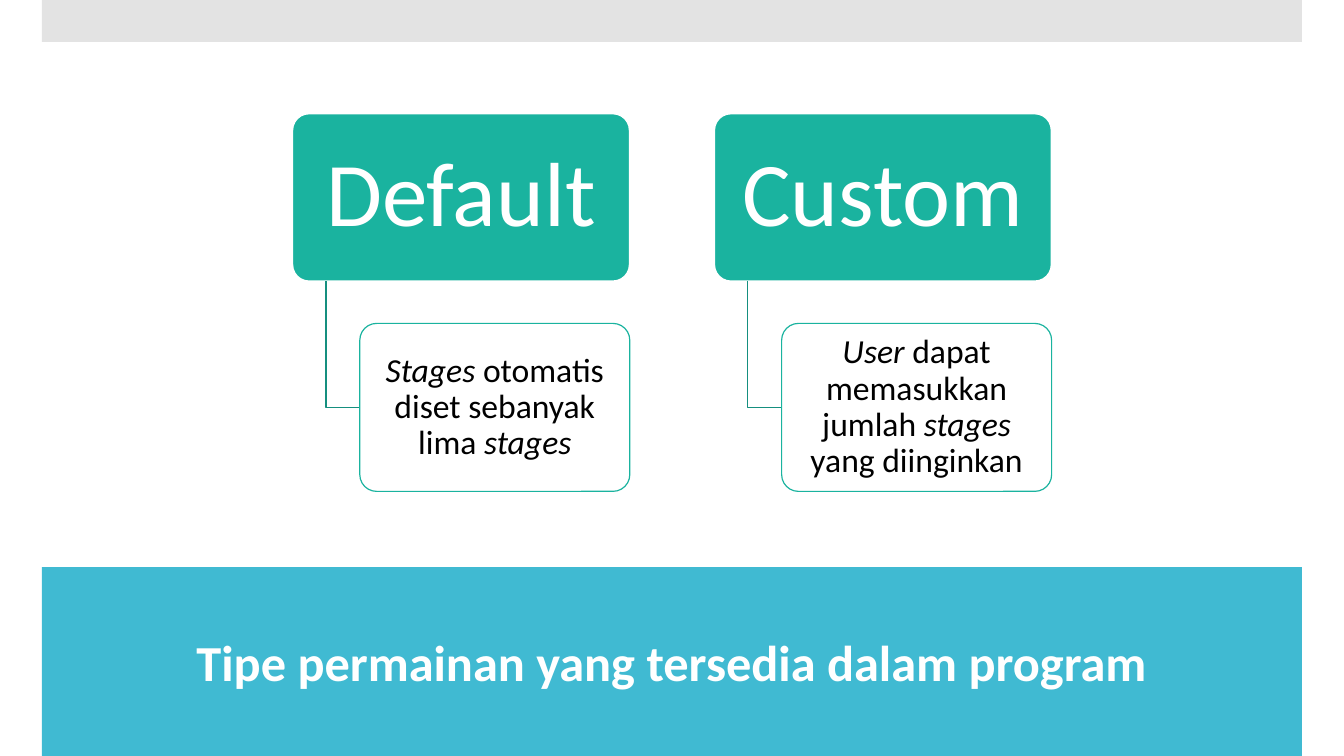
"""Build a slide that compares the two game types as a small hierarchy."""
from dataclasses import dataclass

from lxml import etree
from pptx import Presentation
from pptx import util as u
from pptx.dml.color import RGBColor
from pptx.enum import shapes, text
from pptx.oxml.ns import qn


@dataclass(frozen=True)
class Theme:
    """Colours, type sizes and line widths of the slide."""
    font: str = "Calibri"
    white: str = "FFFFFF"
    black: str = "000000"
    blue: str = "40BAD2"
    grey: str = "C8C8C8"
    green: str = "1AB39F"
    dark_green: str = "158F7F"
    head_size: float = 65
    detail_size: float = 24
    title_size: float = 36
    head_line: float = 1.35
    thin_line: float = 0.85


@dataclass(frozen=True)
class Box:
    """A rectangle in EMU that hands out inner boxes by share of its size."""
    left: float
    top: float
    width: float
    height: float

    def inner(self, left, top, width, height):
        """Return the inner box given by shares of this box."""
        return Box(self.left + left * self.width, self.top + top * self.height,
                   width * self.width, height * self.height)

    def place(self):
        """Return the position and size as whole EMU."""
        return [u.Emu(round(v)) for v in (self.left, self.top, self.width, self.height)]


THEME = Theme()
BRANCHES = [
    ("Default", [("Stages ", True), ("otomatis diset sebanyak lima ", False),
                 ("stages", True)]),
    ("Custom", [("User ", True), ("dapat memasukkan jumlah ", False),
                ("stages ", True), ("yang diinginkan", False)]),
]


def colour(value):
    """Turn a hex value into a colour."""
    return RGBColor.from_string(value)


def style_font(paragraph, size, value, bold=False):
    """Set the common font of a paragraph."""
    font = paragraph.font
    font.name, font.size, font.bold = THEME.font, u.Pt(size), bold
    font.color.rgb = colour(value)


def add_panel(slide, box, fill, opacity=100, kind=shapes.MSO_SHAPE.RECTANGLE):
    """Add a filled shape without line or shadow."""
    shape = slide.shapes.add_shape(kind, *box.place())
    shape.shadow.inherit = False
    shape.fill.solid()
    shape.fill.fore_color.rgb = colour(fill)
    shape.line.fill.background()
    if opacity < 100:
        fill_colour = shape._element.spPr.find(qn("a:solidFill"))[0]
        etree.SubElement(fill_colour, qn("a:alpha")).set("val", str(opacity * 1000))
    return shape


def add_node(slide, box, runs, fill, opacity, line, line_width, size, ink, insets):
    """Add a rounded node with centred text."""
    shape = add_panel(slide, box, fill, opacity, shapes.MSO_SHAPE.ROUNDED_RECTANGLE)
    shape.adjustments[0] = 0.1
    shape.line.color.rgb = colour(line)
    shape.line.width = u.Pt(line_width)
    frame = shape.text_frame
    frame.word_wrap = True
    frame.vertical_anchor = text.MSO_ANCHOR.MIDDLE
    frame.margin_left = frame.margin_right = u.Inches(insets[0])
    frame.margin_top = frame.margin_bottom = u.Inches(insets[1])
    paragraph = frame.paragraphs[0]
    paragraph.alignment = text.PP_ALIGN.CENTER
    paragraph.line_spacing = 0.9
    style_font(paragraph, size, ink)
    for words, italic in runs:
        run = paragraph.add_run()
        run.text, run.font.italic = words, italic


def add_elbow(slide, box):
    """Add an open line down the left and along the bottom of the box."""
    left, top, width, height = box.place()
    builder = slide.shapes.build_freeform(left, top)
    builder.add_line_segments([(left, top + height), (left + width, top + height)],
                              close=False)
    shape = builder.convert_to_shape()
    shape.shadow.inherit = False
    shape.fill.background()
    shape.line.color.rgb = colour(THEME.dark_green)
    shape.line.width = u.Pt(THEME.thin_line)


def add_branch(slide, box, name, detail):
    """Add a head node, its detail node and the line between them."""
    node = 4 / 9
    add_node(slide, box.inner(0, 0, 1, node), [(name, False)], THEME.green, 100,
             THEME.white, THEME.head_line, THEME.head_size, THEME.white, (0.14, 0.09))
    add_elbow(slide, box.inner(0.1, node, 0.1, 1 - 1.5 * node))
    add_node(slide, box.inner(0.2, 1 - node, 0.8, node), detail, THEME.white, 90,
             THEME.green, THEME.thin_line, THEME.detail_size, THEME.black, (0.05, 0.03))


def add_hierarchy(slide, box):
    """Spread the branches across the box with gaps of a quarter branch."""
    width = 1 / (len(BRANCHES) * 1.25 - 0.25)
    for index, (name, detail) in enumerate(BRANCHES):
        add_branch(slide, box.inner(index * 1.25 * width, 0, width, 1), name, detail)


def add_title_band(slide, box):
    """Add the coloured band and put the slide title in its middle."""
    add_panel(slide, box, THEME.blue)
    title = slide.shapes.title
    slide.shapes._spTree.append(title._element)
    title.left, title.top, title.width, title.height = box.inner(0.1, 0.31, 0.8, 0.38).place()
    frame = title.text_frame
    frame.text = "Tipe permainan yang tersedia dalam program"
    frame.word_wrap = False
    frame.auto_size = text.MSO_AUTO_SIZE.NONE
    frame.vertical_anchor = text.MSO_ANCHOR.MIDDLE
    frame.paragraphs[0].alignment = text.PP_ALIGN.CENTER
    style_font(frame.paragraphs[0], THEME.title_size, THEME.white, bold=True)


def main():
    """Build and save the presentation."""
    presentation = Presentation()
    presentation.slide_width, presentation.slide_height = u.Inches(13.33), u.Inches(7.5)
    slide = presentation.slides.add_slide(presentation.slide_layouts[5])
    page = Box(0, 0, presentation.slide_width, presentation.slide_height)
    column, row = 1 / 32, 1 / 18
    add_title_band(slide, page.inner(column, 0.75, 30 * column, 0.25))
    add_panel(slide, page.inner(column, 0, 30 * column, row), THEME.grey, 50)
    hierarchy_width = 0.565
    add_hierarchy(slide, page.inner((1 - hierarchy_width) / 2, 0.15, hierarchy_width, 0.5))
    presentation.save("out.pptx")


main()
